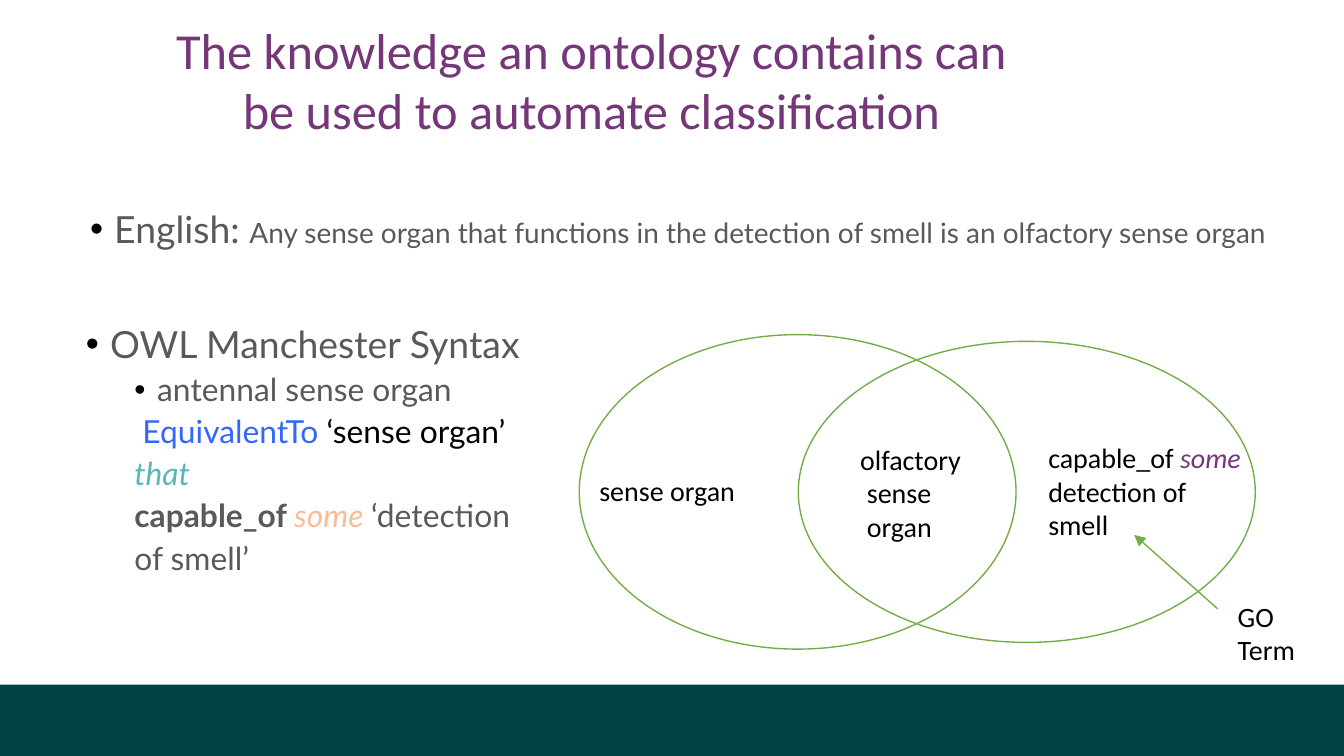
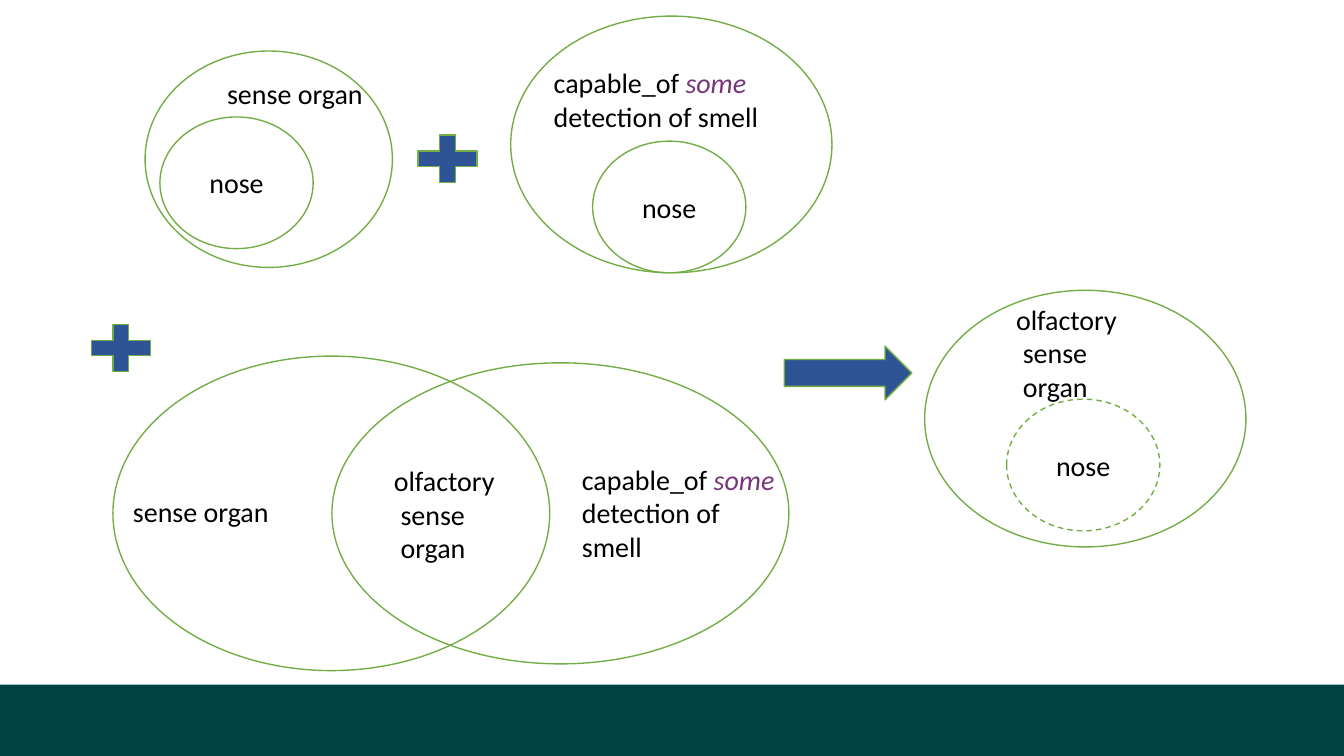
"""Build two slides showing how an ontology supports automatic classification."""
from dataclasses import dataclass
from typing import NamedTuple, Optional

from lxml.etree import SubElement
from pptx import Presentation
from pptx.dml.color import RGBColor
from pptx.enum.dml import MSO_LINE
from pptx.enum.shapes import MSO_CONNECTOR, MSO_SHAPE
from pptx.enum.text import MSO_ANCHOR, MSO_AUTO_SIZE, PP_ALIGN
from pptx.oxml.ns import qn
from pptx.util import Inches, Pt

COLORS = {
    "band": "004342", "outline": "72AD46", "symbol": "2F5496",
    "title": "75367A", "body": "595959", "black": "000000",
    "keyword": "3366FF", "that": "5BB6B7", "some": "F6BD96",
}
LABEL_FONT, BODY_FONT = "Calibri", "Lato"
LABEL_SIZE = 15
SLIDE_WIDTH = Inches(10)
SLIDE_HEIGHT = SLIDE_WIDTH * 9 // 16
VENN_SHIFT = (-3.47, 0.16)


class Box(NamedTuple):
    left: float
    top: float
    width: float
    height: float

    def moved(self, across: float, down: float) -> "Box":
        return Box(self.left + across, self.top + down, self.width, self.height)

    def lengths(self) -> list:
        return [Inches(value) for value in self]


class Span(NamedTuple):
    text: str
    color: str = "black"
    size: float = LABEL_SIZE
    bold: bool = False
    italic: bool = False
    font: str = LABEL_FONT


@dataclass
class Line:
    spans: list[Span]
    margin: float = 0
    indent: float = 0
    level: int = 0
    before: float = 0
    spacing: float = 1
    bullet: bool = False
    align: PP_ALIGN = PP_ALIGN.LEFT


@dataclass
class Label:
    box: Box
    lines: list[Line]


@dataclass
class Oval:
    box: Box
    text: str = ""
    dashed: bool = False


@dataclass
class Symbol:
    kind: MSO_SHAPE
    box: Box
    adjustments: tuple[float, ...]
    rotation: float = 0


def plain(text: str, margin: float = 0, align: PP_ALIGN = PP_ALIGN.LEFT) -> Line:
    return Line([Span(text)], margin=margin, align=align)


def body_span(text: str, size: float = 17, color: str = "body", **style: bool) -> Span:
    return Span(text, color, size, font=BODY_FONT, **style)


def syntax_line(*spans: Span, bullet: bool = False, indent: float = -0.17) -> Line:
    return Line(list(spans), 0.53, indent, 1, 4.2, 0.9, bullet)


CAPABLE_OF = [Span("capable_of "), Span("some", "title", italic=True)]
OLFACTORY = [plain("olfactory"), plain("sense", 0.05), plain("organ", 0.05)]

TITLE = Label(Box(1.08, 0.1, 6.64, 0.88), [Line(
    [Span("The knowledge an ontology contains can be used to automate classification",
          "title", 27)], align=PP_ALIGN.CENTER)])

BODY = Label(Box(0.56, 1.53, 9.09, 3.89), [
    Line([body_span("English: ", 20),
          body_span("Any sense organ that functions in the detection of smell "
                    "is an olfactory sense organ", 15)],
         0.21, -0.18, 2, 0, 0.9, True),
    Line([body_span("OWL Manchester Syntax", 20)], 0.18, -0.18, 0, 40, 0.9, True),
    syntax_line(body_span("antennal sense organ"), bullet=True),
    syntax_line(body_span("EquivalentTo ", color="keyword"),
                body_span("‘sense organ’", color="black"), indent=-0.11),
    syntax_line(body_span("that", color="that", italic=True)),
    syntax_line(body_span("capable_of ", bold=True),
                body_span("some ", color="some", italic=True),
                body_span("‘detection")),
    syntax_line(body_span("of smell’")),
])

VENN_OVALS = [Oval(Box(4.31, 2.49, 3.25, 2.34)), Oval(Box(5.94, 2.54, 3.4, 2.24))]
VENN_LABELS = [
    Label(Box(4.38, 3.48, 1.27, 0.3), [plain("sense organ")]),
    Label(Box(7.72, 3.24, 1.66, 0.76), [Line([*CAPABLE_OF, Span(" detection of smell")])]),
    Label(Box(6.32, 3.25, 0.99, 0.76), OLFACTORY),
]
GO_TERM = Label(Box(9.13, 4.42, 0.64, 0.53), [plain("GO"), plain("Term")])

INFERENCE_OVALS = [
    Oval(Box(1.19, 0.87, 1.14, 0.98), "nose"),
    Oval(Box(1.08, 0.38, 1.84, 1.61)),
    Oval(Box(4.41, 1.05, 1.14, 0.98), "nose"),
    Oval(Box(3.8, 0.12, 2.39, 1.91)),
    Oval(Box(6.88, 2.16, 2.39, 1.91)),
    Oval(Box(7.49, 2.97, 1.14, 0.98), "nose", True),
]
INFERENCE_LABELS = [
    Label(Box(1.51, 0.53, 1.27, 0.3), [plain("sense organ", align=PP_ALIGN.RIGHT)]),
    Label(Box(4.04, 0.45, 1.82, 0.53), [Line(CAPABLE_OF), plain("detection of smell")]),
    Label(Box(7.48, 2.21, 0.99, 0.76), OLFACTORY),
]
SYMBOLS = [
    Symbol(MSO_SHAPE.DOWN_ARROW, Box(6.11, 2.3, 0.4, 0.95), (0.5, 0.5), 270),
    Symbol(MSO_SHAPE.MATH_PLUS, Box(3.03, 0.94, 0.6, 0.48), (0.24,)),
    Symbol(MSO_SHAPE.MATH_PLUS, Box(0.6, 2.35, 0.6, 0.48), (0.24,)),
]


def rgb(name: str) -> RGBColor:
    return RGBColor.from_string(COLORS[name])


def apply(target, values: dict) -> None:
    for name, value in values.items():
        setattr(target, name, value)


def set_bullet(paragraph, line: Line) -> None:
    properties = paragraph._p.get_or_add_pPr()
    properties.set("marL", str(Inches(line.margin)))
    properties.set("indent", str(Inches(line.indent)))
    if line.bullet:
        color = SubElement(properties, qn("a:buClr"))
        SubElement(color, qn("a:srgbClr"), val=COLORS["black"])
        SubElement(properties, qn("a:buFont"), typeface="Arial")
        SubElement(properties, qn("a:buChar"), char="•")
    else:
        SubElement(properties, qn("a:buNone"))


def write_text(shape, lines: list[Line], anchor: MSO_ANCHOR = MSO_ANCHOR.TOP) -> None:
    frame = shape.text_frame
    apply(frame, {
        "word_wrap": True, "auto_size": MSO_AUTO_SIZE.NONE, "vertical_anchor": anchor,
        "margin_left": Inches(0.08), "margin_right": Inches(0.08),
        "margin_top": Inches(0.04), "margin_bottom": Inches(0.04),
    })
    for index, line in enumerate(lines):
        paragraph = frame.add_paragraph() if index else frame.paragraphs[0]
        set_bullet(paragraph, line)
        apply(paragraph, {
            "level": line.level, "alignment": line.align, "line_spacing": line.spacing,
            "space_before": Pt(line.before), "space_after": Pt(0),
        })
        for span in line.spans:
            run = paragraph.add_run()
            run.text = span.text
            apply(run.font, {"name": span.font, "size": Pt(span.size),
                             "bold": span.bold, "italic": span.italic})
            run.font.color.rgb = rgb(span.color)


def fill_placeholder(placeholder, label: Label) -> None:
    names = ("left", "top", "width", "height")
    apply(placeholder, dict(zip(names, label.box.lengths())))
    write_text(placeholder, label.lines)


def add_figure(slide, kind: MSO_SHAPE, box: Box, fill: Optional[str] = None,
               outline: Optional[str] = "outline"):
    shape = slide.shapes.add_shape(kind, *box.lengths())
    shape.shadow.inherit = False
    if fill:
        shape.fill.solid()
        shape.fill.fore_color.rgb = rgb(fill)
    else:
        shape.fill.background()
    if outline:
        shape.line.color.rgb = rgb(outline)
        shape.line.width = Pt(0.75)
    else:
        shape.line.fill.background()
    return shape


def add_oval(slide, oval: Oval) -> None:
    shape = add_figure(slide, MSO_SHAPE.OVAL, oval.box)
    if oval.dashed:
        shape.line.dash_style = MSO_LINE.DASH
    if oval.text:
        write_text(shape, [plain(oval.text, align=PP_ALIGN.CENTER)], MSO_ANCHOR.MIDDLE)


def add_label(slide, label: Label) -> None:
    write_text(slide.shapes.add_textbox(*label.box.lengths()), label.lines)


def add_symbol(slide, symbol: Symbol) -> None:
    shape = add_figure(slide, symbol.kind, symbol.box, "symbol")
    shape.rotation = symbol.rotation
    for index, value in enumerate(symbol.adjustments):
        shape.adjustments[index] = value


def add_arrow(slide, start: tuple[float, float], end: tuple[float, float]) -> None:
    points = [Inches(value) for value in (*start, *end)]
    connector = slide.shapes.add_connector(MSO_CONNECTOR.STRAIGHT, *points)
    connector.line.color.rgb = rgb("outline")
    connector.line.width = Pt(0.75)
    SubElement(connector.line._get_or_add_ln(), qn("a:tailEnd"), type="triangle")
    SubElement(connector.element.spPr, qn("a:effectLst"))


def add_venn(slide, across: float = 0, down: float = 0) -> None:
    for oval in VENN_OVALS:
        add_oval(slide, Oval(oval.box.moved(across, down)))
    for label in VENN_LABELS:
        add_label(slide, Label(label.box.moved(across, down), label.lines))


def add_master_band(presentation, slide) -> None:
    band = add_figure(slide, MSO_SHAPE.RECTANGLE, Box(0, 5.09, 10, 0.53), "band", None)
    band.top = SLIDE_HEIGHT - band.height
    presentation.slide_master.shapes.element.append(band.element)


def build_definition_slide(slide) -> None:
    add_venn(slide)
    fill_placeholder(slide.shapes.title, TITLE)
    fill_placeholder(slide.placeholders[1], BODY)
    add_arrow(slide, (9.06, 4.53), (8.44, 3.98))
    add_label(slide, GO_TERM)


def build_inference_slide(slide) -> None:
    add_venn(slide, *VENN_SHIFT)
    for oval in INFERENCE_OVALS:
        add_oval(slide, oval)
    for label in INFERENCE_LABELS:
        add_label(slide, label)
    for symbol in SYMBOLS:
        add_symbol(slide, symbol)


def main() -> None:
    presentation = Presentation()
    presentation.slide_width = SLIDE_WIDTH
    presentation.slide_height = SLIDE_HEIGHT
    layouts = presentation.slide_layouts
    definition_slide = presentation.slides.add_slide(layouts[1])
    add_master_band(presentation, definition_slide)
    build_definition_slide(definition_slide)
    build_inference_slide(presentation.slides.add_slide(layouts[6]))
    presentation.save("out.pptx")


if __name__ == "__main__":
    main()
